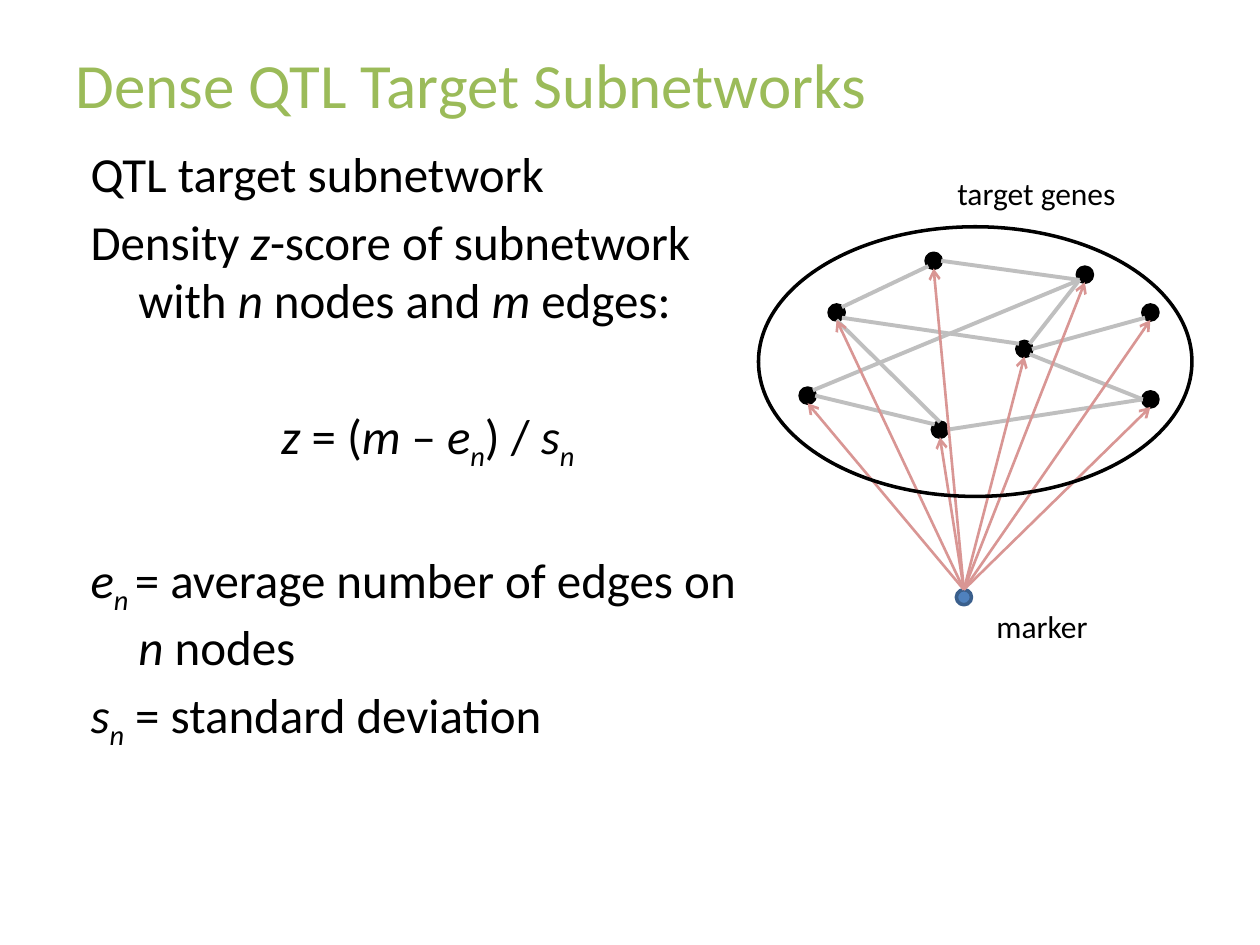
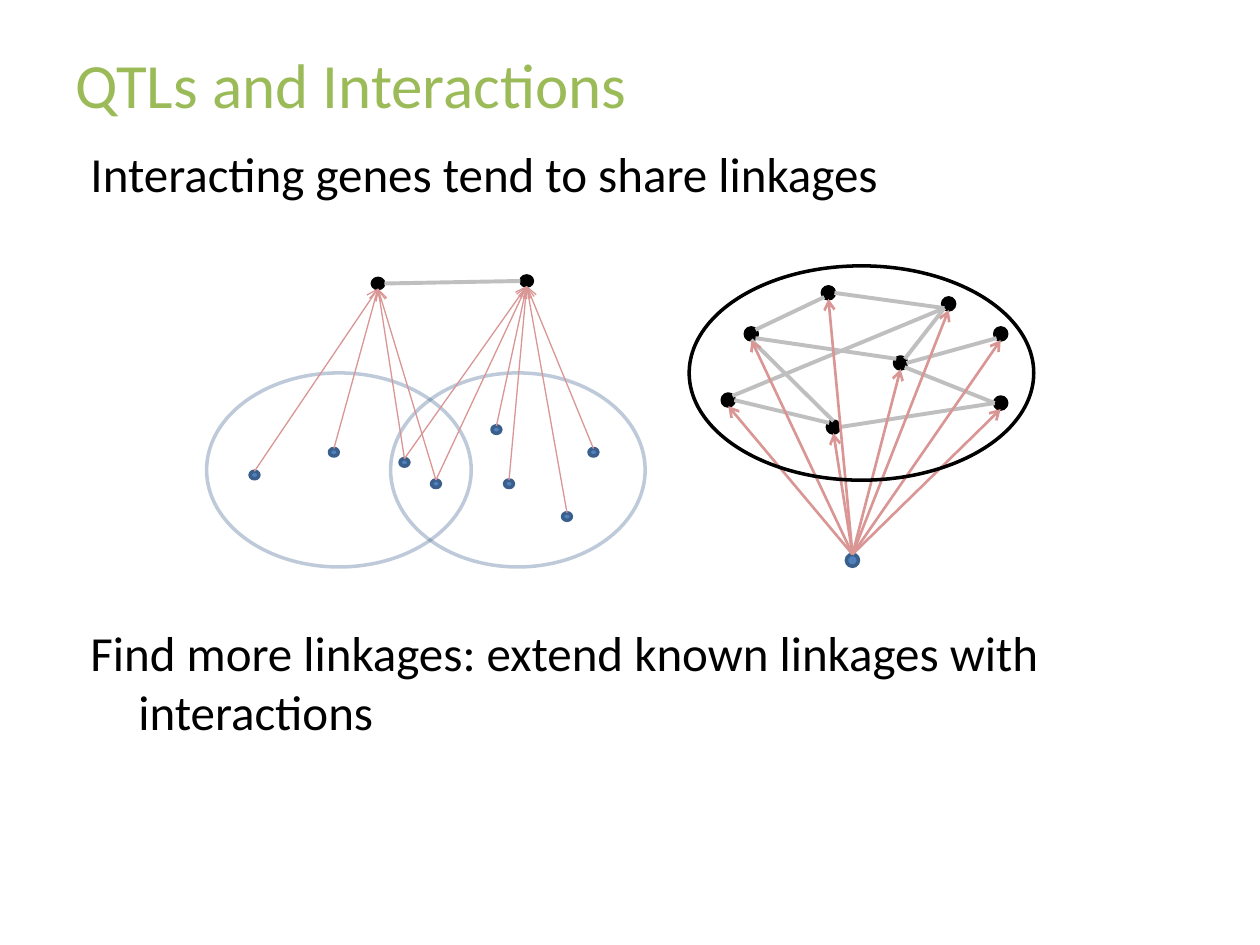
import pptx
import pptx.dml.color
import pptx.enum.shapes
import pptx.enum.text
import pptx.oxml.ns
import pptx.util
from lxml import etree

Inches, Pt = pptx.util.Inches, pptx.util.Pt
color = pptx.dml.color.RGBColor.from_string
qn = pptx.oxml.ns.qn

FONT = "Calibri"
BLACK, GREEN, GREY, PINK = "000000", "9BBB59", "BFBFBF", "D99694"
BLUE, DARK_BLUE = "4F81BD", "3A5F8C"
PARAGRAPH_GAP = 5


def add_oval(slide, center, width, height, fill, outline):
    x, y = center
    oval = slide.shapes.add_shape(
        pptx.enum.shapes.MSO_SHAPE.OVAL,
        Inches(x - width / 2), Inches(y - height / 2), Inches(width), Inches(height))
    oval.shadow.inherit = False
    if fill:
        oval.fill.solid()
        oval.fill.fore_color.rgb = color(fill)
    else:
        oval.fill.background()
    oval.line.color.rgb = color(outline)
    oval.line.width = Pt(2)
    return oval


def add_link(slide, start, end, stroke, width, arrow=False):
    link = slide.shapes.add_connector(
        pptx.enum.shapes.MSO_CONNECTOR.STRAIGHT, *[Inches(v) for v in (*start, *end)])
    link.line.color.rgb = color(stroke)
    link.line.width = Pt(width)
    if arrow:
        etree.SubElement(link.line._get_or_add_ln(), qn("a:tailEnd"), type="arrow")
    etree.SubElement(link._element.spPr, qn("a:effectLst"))


prs = pptx.Presentation()
prs.slide_width, prs.slide_height = Inches(10), Inches(7.5)
density, interactions = [prs.slides.add_slide(prs.slide_layouts[6]) for _ in range(2)]

# Titles
for slide, title in [(density, "Dense QTL Target Subnetworks"),
                     (interactions, "QTLs and Interactions")]:
    frame = slide.shapes.add_textbox(Inches(0.5), Inches(0.3), Inches(9), Inches(0.72)).text_frame
    frame.word_wrap = True
    frame.vertical_anchor = pptx.enum.text.MSO_ANCHOR.MIDDLE
    frame.text = title
    font = frame.paragraphs[0].runs[0].font
    font.name, font.size, font.color.rgb = FONT, Pt(36), color(GREEN)

# Body text: each paragraph is (space before, centred, runs);
# a run is (text, style) with style "" plain, "i" italic, "sub" italic subscript
density_body = [
    (PARAGRAPH_GAP, False, [("QTL target subnetwork", "")]),
    (PARAGRAPH_GAP, False, [("Density ", ""), ("z", "i"), ("-score of subnetwork with ", ""),
                            ("n", "i"), (" nodes and ", ""), ("m", "i"), (" edges:", "")]),
    (44, True, [("z ", "i"), ("= (", ""), ("m", "i"), (" – ", ""), ("e", "i"), ("n", "sub"),
                (") / ", ""), ("s", "i"), ("n", "sub")]),
    (44, False, [("e", "i"), ("n ", "sub"), ("= average number of edges on ", ""),
                 ("n", "i"), (" nodes", "")]),
    (PARAGRAPH_GAP, False, [("s", "i"), ("n", "sub"), (" = standard deviation", "")]),
]
interactions_body = [
    (PARAGRAPH_GAP, False, [("Interacting genes tend to share linkages", "")]),
    (240, False, [("Find more linkages: extend known linkages with interactions", "")]),
]
for slide, width, body in [(density, 5.55, density_body), (interactions, 8.83, interactions_body)]:
    frame = slide.shapes.add_textbox(Inches(0.62), Inches(1.09), Inches(width), Inches(5.9)).text_frame
    frame.word_wrap = True
    for index, (gap, centred, runs) in enumerate(body):
        paragraph = frame.add_paragraph() if index else frame.paragraphs[0]
        paragraph.space_before = Pt(gap)
        if centred:
            paragraph.alignment = pptx.enum.text.PP_ALIGN.CENTER
        properties = paragraph._p.get_or_add_pPr()
        properties.set("marL", str(Inches(0.38)))
        properties.set("indent", str(Inches(-0.38)))
        for text, style in runs:
            run = paragraph.add_run()
            run.text = text
            font = run.font
            font.name, font.size, font.color.rgb = FONT, Pt(28), color(BLACK)
            font.italic = style != ""
            if style == "sub":
                run._r.get_or_add_rPr().set("baseline", "-25000")

# Target network, measured from the top left of its oval
OVAL_WIDTH, OVAL_HEIGHT, DOT = 3.44, 2.14, 0.12
genes = {
    "hub": (2.11, 0.97), "right": (3.11, 0.68), "top right": (2.59, 0.38),
    "low right": (3.11, 1.37), "left": (0.62, 0.68), "low left": (0.39, 1.34),
    "top": (1.39, 0.27), "bottom": (1.44, 1.61),
}
marker = (1.63, 2.94)
sides = {"N": (0, -1), "S": (0, 1), "E": (1, 0), "W": (-1, 0), "NE": (0.7, -0.7),
         "NW": (-0.7, -0.7), "SE": (0.7, 0.7), "SW": (-0.7, 0.7)}
gene_edges = [
    ("hub", "E", "right", "SW"), ("hub", "NE", "top right", "SW"),
    ("hub", "SE", "low right", "W"), ("hub", "NW", "left", "SE"),
    ("low left", "E", "bottom", "NW"), ("top", "E", "top right", "SW"),
    ("bottom", "N", "left", "S"), ("bottom", "E", "low right", "W"),
    ("top", "SW", "left", "NE"), ("top right", "SW", "low left", "NE"),
]
for slide, left, top, scale in [(density, 6.02, 1.8, 1), (interactions, 5.47, 2.11, 0.795)]:
    dot = DOT * scale
    placed = {name: (left + x * scale, top + y * scale)
              for name, (x, y) in {**genes, "marker": marker}.items()}
    rim = {(name, side): (x + dx * dot / 2, y + dy * dot / 2)
           for name, (x, y) in placed.items() for side, (dx, dy) in sides.items()}
    for name, center in placed.items():
        fill, outline = (BLUE, DARK_BLUE) if name == "marker" else (BLACK, BLACK)
        add_oval(slide, center, dot, dot, fill, outline)
    for start, start_side, end, end_side in gene_edges:
        add_link(slide, rim[start, start_side], rim[end, end_side], GREY, 2.25)
    for name in genes:
        add_link(slide, rim["marker", "N"], rim[name, "S"], PINK, 1.5, arrow=True)
    width, height = OVAL_WIDTH * scale, OVAL_HEIGHT * scale
    add_oval(slide, (left + width / 2, top + height / 2), width, height, None, BLACK)

# Network labels
for label, left, top, width in [("marker", 7.81, 4.77, 1.02), ("target genes", 7.5, 1.33, 1.56)]:
    frame = density.shapes.add_textbox(Inches(left), Inches(top), Inches(width), Inches(0.4)).text_frame
    frame.word_wrap = True
    frame.text = label
    font = frame.paragraphs[0].runs[0].font
    font.name, font.size, font.color.rgb = FONT, Pt(18), color(BLACK)

# Two interacting genes with overlapping marker sets
for center, width in [((2.69, 3.73), 2.1), ((4.11, 3.73), 2.02)]:
    marker_set = add_oval(interactions, center, width, 1.54, None, DARK_BLUE)
    rgb = marker_set.line._get_or_add_ln().find(".//" + qn("a:srgbClr"))
    etree.SubElement(rgb, qn("a:alpha"), val="32000")

left_gene, right_gene = (3, 2.25), (4.18, 2.23)
for gene in (left_gene, right_gene):
    add_oval(interactions, gene, 0.09, 0.08, BLACK, BLACK)

left_only = [(2.02, 3.77), (2.65, 3.59)]
shared = [(3.21, 3.67), (3.46, 3.84)]
right_only = [(3.94, 3.41), (4.04, 3.84), (4.5, 4.1), (4.71, 3.59)]
for center in left_only + shared + right_only:
    add_oval(interactions, center, 0.07, 0.06, BLUE, DARK_BLUE)
for (gene_x, gene_y), linked in [(left_gene, left_only + shared), (right_gene, shared + right_only)]:
    for x, y in linked:
        add_link(interactions, (x, y - 0.03), (gene_x, gene_y + 0.04), PINK, 0.75, arrow=True)
add_link(interactions, (3.05, 2.25), (4.13, 2.23), GREY, 2.25)

prs.save("out.pptx")
